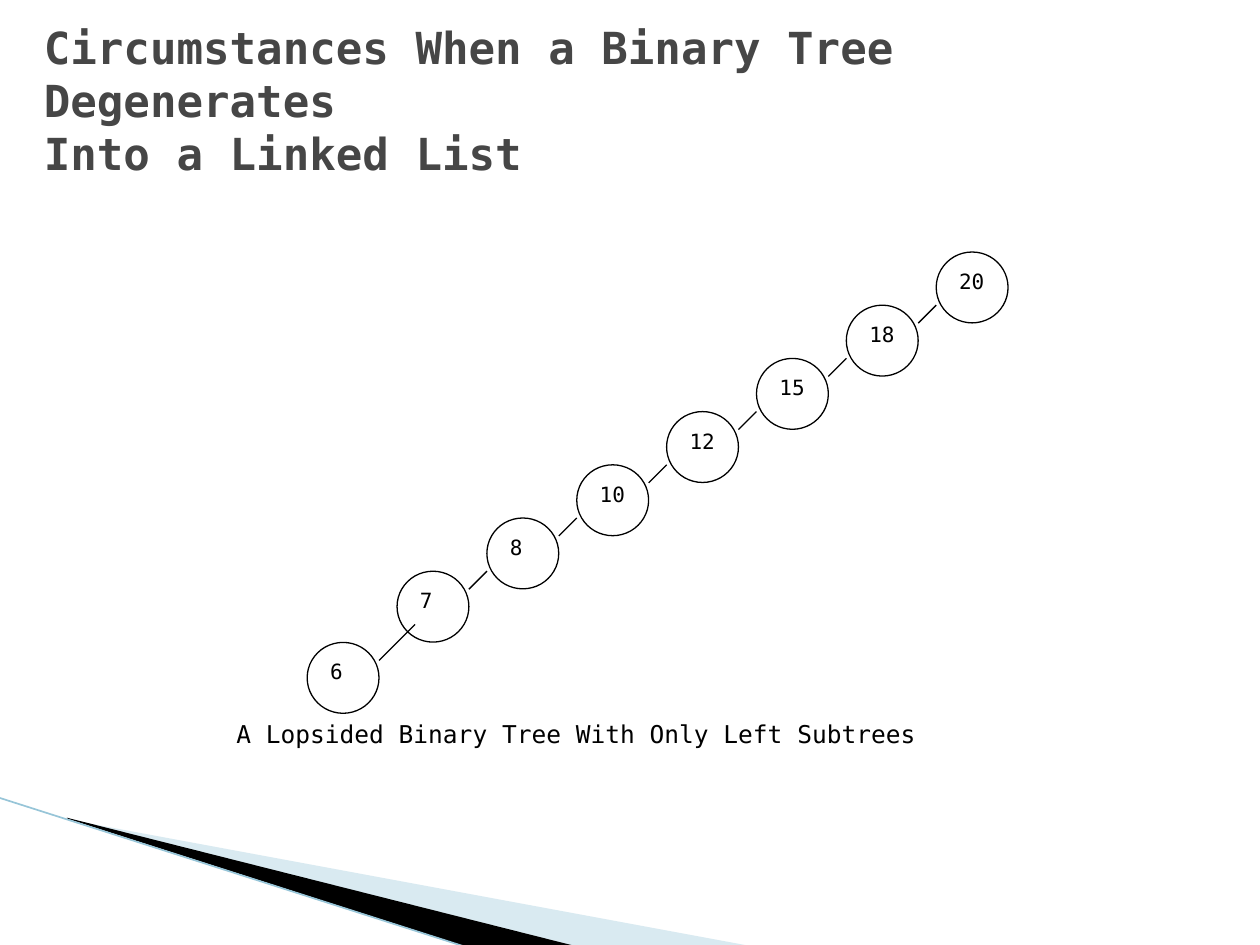
from dataclasses import dataclass

from lxml import etree
from pptx import Presentation
from pptx.dml.color import RGBColor
from pptx.enum.shapes import MSO_CONNECTOR, MSO_SHAPE
from pptx.enum.text import MSO_ANCHOR, PP_ALIGN
from pptx.oxml.ns import qn
from pptx.util import Pt

STRAIGHT = MSO_CONNECTOR.STRAIGHT
OVAL, RECTANGLE = MSO_SHAPE.OVAL, MSO_SHAPE.RECTANGLE
TOP, MIDDLE = MSO_ANCHOR.TOP, MSO_ANCHOR.MIDDLE
LEFT, CENTER = PP_ALIGN.LEFT, PP_ALIGN.CENTER

FONT = "DejaVu Sans Mono"
COLORS = {
    "black": "000000",
    "white": "FFFFFF",
    "title": "464646",
    "pale": "A0CBDC",
    "edge": "97C5D8",
}
NODE_WIDTH, NODE_HEIGHT = 41.04, 40.5
STEP_X, STEP_Y = 51.35, 30.4
LINK = 10.3


@dataclass
class Node:
    value: int
    left: float
    top: float


def color(name: str) -> RGBColor:
    return RGBColor.from_string(COLORS[name])


def add_text(box, lines: list[str], size: float, color_name: str = "black",
             align=LEFT, anchor=TOP, bold: bool = False) -> None:
    frame = box.text_frame
    frame.word_wrap = True
    frame.vertical_anchor = anchor
    para = frame.paragraphs[0]
    para.alignment = align
    for index, line in enumerate(lines):
        if index:
            para.add_line_break()
        span = para.add_run()
        span.text = line
        span.font.name = FONT
        span.font.size = Pt(size)
        span.font.bold = bold
        span.font.color.rgb = color(color_name)


def add_filled(page, kind, left: float, top: float, width: float, height: float):
    shape = page.shapes.add_shape(kind, Pt(left), Pt(top), Pt(width), Pt(height))
    shape.shadow.inherit = False
    shape.fill.solid()
    shape.fill.fore_color.rgb = color("white")
    shape.line.fill.background()
    return shape


def add_line(page, start: tuple[float, float], end: tuple[float, float],
             color_name: str = "black", width: float = 0.75) -> None:
    line = page.shapes.add_connector(STRAIGHT, *map(Pt, start + end))
    line.line.color.rgb = color(color_name)
    line.line.width = Pt(width)
    etree.SubElement(line._element.spPr, qn("a:effectLst"))


def add_wedge(page, points: list[tuple[float, float]], color_name: str,
              opacity: int = 100) -> None:
    corners = [(Pt(x), Pt(y)) for x, y in points]
    builder = page.shapes.build_freeform(*corners[0], scale=1.0)
    builder.add_line_segments(corners[1:], close=True)
    wedge = builder.convert_to_shape()
    wedge.shadow.inherit = False
    wedge.fill.solid()
    wedge.fill.fore_color.rgb = color(color_name)
    wedge.line.fill.background()
    if opacity < 100:
        tint = wedge._element.spPr.find(qn("a:solidFill"))[0]
        etree.SubElement(tint, qn("a:alpha"), val=str(opacity * 1000))


def add_node(page, node: Node) -> None:
    circle = add_filled(page, OVAL, node.left, node.top, NODE_WIDTH, NODE_HEIGHT)
    circle.line.color.rgb = color("black")
    circle.line.width = Pt(0.75)
    circle.text_frame.margin_right = Pt(0)
    add_text(circle, [str(node.value)], 12)


def main() -> None:
    deck = Presentation()
    deck.slide_width, deck.slide_height = Pt(720), Pt(540)
    page = deck.slides.add_slide(deck.slide_layouts[6])

    # Corner decoration
    add_wedge(page, [(39.6, 468.5), (428.4, 540.5), (328.3, 540.5), (39.6, 468)],
              "pale", 40)
    add_wedge(page, [(38.2, 467.3), (329, 540.7), (267.8, 541.4), (38.9, 468)],
              "black")
    add_line(page, (-0.7, 455.8), (267.1, 541.4), "edge", 0.95)

    # Title
    title = page.shapes.add_textbox(Pt(18), Pt(18), Pt(612), Pt(78))
    add_text(title, ["Circumstances When a Binary Tree Degenerates ",
                     "Into a Linked List"], 25.2, "title", anchor=MIDDLE, bold=True)

    # Caption
    caption = add_filled(page, RECTANGLE, 113.8, 407.5, 431.3, 30.4)
    add_text(caption, ["A Lopsided Binary Tree With Only Left Subtrees"], 14,
             align=CENTER)

    # Tree nodes, root first; the last leaf hangs one link lower
    values = [20, 18, 15, 12, 10, 8, 7, 6]
    nodes = [Node(value, 535 - STEP_X * i, 144 + STEP_Y * i)
             for i, value in enumerate(values)]
    nodes[-1].top += LINK
    for node in nodes:
        add_node(page, node)

    # Links from each parent to its left child
    for parent in nodes[:-1]:
        start_x, start_y = parent.left, parent.top + STEP_Y
        length = LINK
        if parent is nodes[-2]:
            start_x, length = start_x + LINK, 2 * LINK
        add_line(page, (start_x, start_y), (start_x - length, start_y + length))

    deck.save("out.pptx")


if __name__ == "__main__":
    main()
